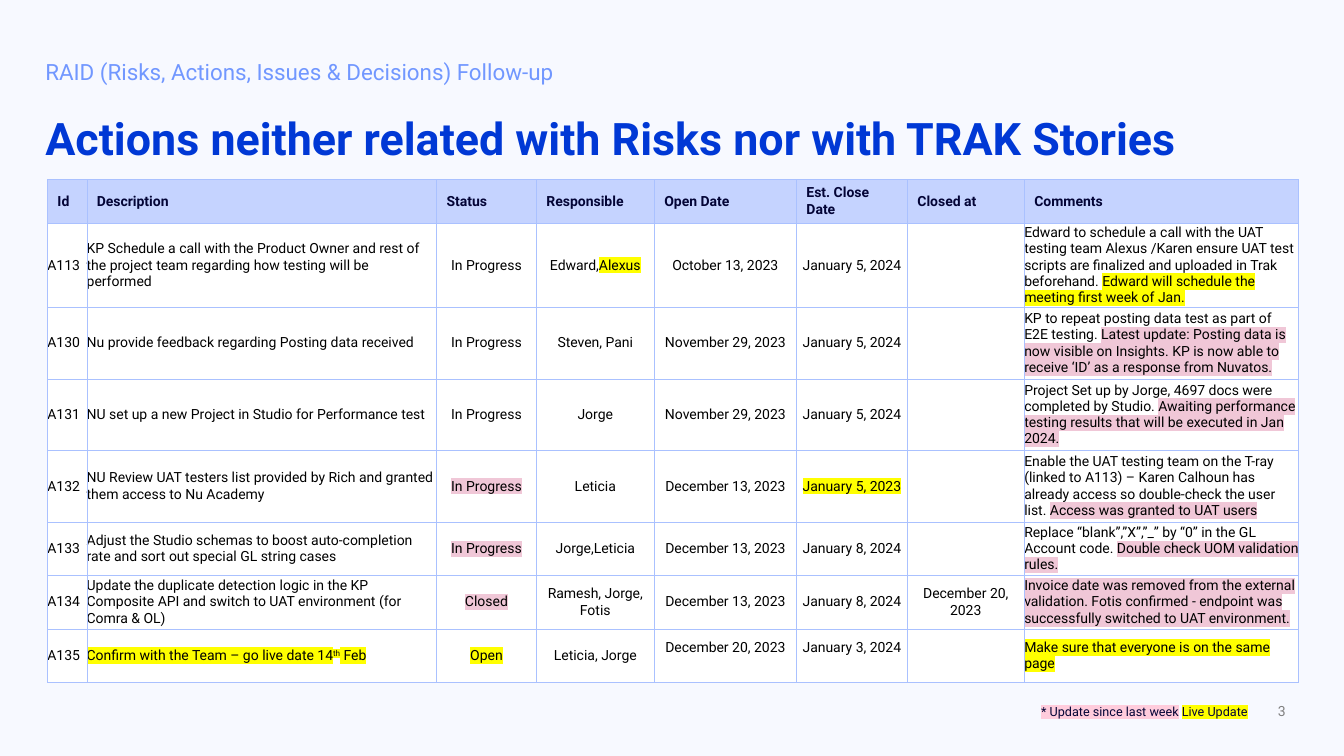
import pptx
import pptx.dml.color
import pptx.enum.text
import pptx.oxml.ns
import pptx.util
from lxml import etree
from pptx.util import Inches

COLORS = {
    "background": "F7F9FF", "title": "0038D5", "subtitle": "7197FF",
    "navy": "030436", "black": "000000", "gray": "808080", "white": "FFFFFF",
    "header": "C5D3FF", "border": "AAC1FF",
    "live": "FFFF00", "updated": "F0C7D7", "legend": "FFCCDC",
}
ALIGN = pptx.enum.text.PP_ALIGN
MIDDLE = pptx.enum.text.MSO_ANCHOR.MIDDLE
qn = pptx.oxml.ns.qn


def rgb(name):
    return pptx.dml.color.RGBColor.from_string(COLORS[name])


def add_runs(paragraph, runs, size, color, bold=False):
    """Add plain strings or (text, highlight) pairs as formatted runs."""
    for item in runs:
        text, mark = (item, None) if isinstance(item, str) else item
        run = paragraph.add_run()
        run.text = text
        run.font.size = pptx.util.Pt(size)
        run.font.bold = bold
        run.font.name = "Roboto"
        run.font.color.rgb = rgb(color)
        if mark:
            latin = run.font._element.find(qn("a:latin"))
            highlight = etree.Element(qn("a:highlight"))
            etree.SubElement(highlight, qn("a:srgbClr"), val=COLORS[mark])
            latin.addprevious(highlight)


presentation = pptx.Presentation()
presentation.slide_width = Inches(13.33)
presentation.slide_height = Inches(7.5)
slide = presentation.slides.add_slide(presentation.slide_layouts[6])
slide.background.fill.solid()
slide.background.fill.fore_color.rgb = rgb("background")

# Headings, legend and page number: box, left inset, anchor, alignment, runs, size, color, bold
TOP = pptx.enum.text.MSO_ANCHOR.TOP
legend = [("* Update since last week", "legend"), " ", ("Live Update", "live")]
text_boxes = [
    ((0.45, 0.47, 12.4, 0.43), 0, TOP, ALIGN.LEFT,
     ["RAID (Risks, Actions, Issues & Decisions) Follow-up"], 16, "subtitle", False),
    ((0.45, 1.05, 12.4, 0.64), 0, TOP, ALIGN.LEFT,
     ["Actions neither related with Risks nor with TRAK Stories"], 32, "title", True),
    ((10.02, 6.78, 2.66, 0.55), 0.1, MIDDLE, ALIGN.CENTER, legend, 9, "navy", False),
    ((9.85, 6.92, 3, 0.27), 0.1, MIDDLE, ALIGN.RIGHT, ["3"], 10, "gray", False),
]
for box, inset, anchor, alignment, runs, size, color, bold in text_boxes:
    shape = slide.shapes.add_textbox(*[Inches(length) for length in box])
    frame = shape.text_frame
    frame.word_wrap = True
    frame.margin_left = Inches(inset)
    frame.vertical_anchor = anchor
    paragraph = frame.paragraphs[0]
    paragraph.alignment = alignment
    if color == "subtitle":
        paragraph.line_spacing = 1.2
    add_runs(paragraph, runs, size, color, bold)

# Table content: a cell is a string or a list of runs
headers = ["Id", "Description", "Status", "Responsible", "Open Date",
           "Est. Close Date", "Closed at", "Comments"]
actions = [
    ["A113",
     "KP Schedule a call with the Product Owner and rest of the project team "
     "regarding how testing will be performed",
     "In Progress", ["Edward,", ("Alexus", "live")], "October 13, 2023", "January 5, 2024", "",
     ["Edward to schedule a call with the UAT testing team Alexus /Karen ensure UAT test "
      "scripts are finalized and uploaded in Trak beforehand. ",
      ("Edward will schedule the meeting first week of Jan.", "live")]],
    ["A130", "Nu provide feedback regarding Posting data received",
     "In Progress", "Steven, Pani", "November 29, 2023", "January 5, 2024", "",
     ["KP to repeat posting data test as part of E2E testing. ",
      ("Latest update: Posting data is now visible on Insights. KP is now able to "
       "receive ‘ID’ as a response from Nuvatos.", "updated")]],
    ["A131", "NU set up a new Project in Studio for Performance test",
     "In Progress", "Jorge", "November 29, 2023", "January 5, 2024", "",
     ["Project Set up by Jorge, 4697 docs were completed by Studio. ",
      ("Awaiting performance testing results that will be executed in Jan 2024.", "updated")]],
    ["A132",
     "NU Review UAT testers list provided by Rich and granted them access to Nu Academy",
     [("In Progress", "updated")], "Leticia", "December 13, 2023",
     [("January 5, 2023", "live")], "",
     ["Enable the UAT testing team on the T-ray (linked to A113) – Karen Calhoun has "
      "already access so double-check the user list. ",
      ("Access was granted to UAT users", "updated")]],
    ["A133",
     "Adjust the Studio schemas to boost auto-completion rate and sort out special "
     "GL string cases",
     [("In Progress", "updated")], "Jorge,Leticia", "December 13, 2023", "January 8, 2024", "",
     ["Replace “blank”,”X”,”_” by “0” in the GL Account code. ",
      ("Double check UOM validation rules.", "updated")]],
    ["A134",
     "Update the duplicate detection logic in the KP Composite API and switch to UAT "
     "environment (for Comra & OL)",
     [("Closed", "updated")], "Ramesh, Jorge,\nFotis", "December 13, 2023", "January 8, 2024",
     "December 20, 2023",
     [("Invoice date was removed from the external validation. Fotis confirmed - endpoint "
       "was successfully switched to UAT environment.", "updated")]],
    ["A135",
     [("Confirm with the Team – go live date 14", "live"), ("th", "live"), (" Feb", "live")],
     [("Open", "live")], "Leticia, Jorge", "December 20, 2023", "January 3, 2024", "",
     [("Make sure that everyone is on the same page", "live")]],
]
column_widths = [0.39, 3.47, 0.99, 1.17, 1.41, 1.1, 1.16, 2.72]
row_heights = [0.42, 0.82, 0.71, 0.71, 0.71, 0.53, 0.53, 0.53]

# Actions table
table = slide.shapes.add_table(
    len(row_heights), len(column_widths), Inches(0.47), Inches(1.78),
    Inches(sum(column_widths)), Inches(sum(row_heights))).table
for column, width in zip(table.columns, column_widths):
    column.width = Inches(width)
for row, height in zip(table.rows, row_heights):
    row.height = Inches(height)

for row_index, contents in enumerate([headers] + actions):
    is_header = row_index == 0
    for column_index, content in enumerate(contents):
        cell = table.cell(row_index, column_index)
        cell.vertical_anchor = MIDDLE
        if not is_header:
            cell.margin_left = cell.margin_right = 0
            cell.margin_top = cell.margin_bottom = 0

        # Borders go before the fill
        properties = cell._tc.get_or_add_tcPr()
        for side in ("a:lnL", "a:lnR", "a:lnT", "a:lnB"):
            line = etree.SubElement(properties, qn(side), w=str(pptx.util.Pt(0.25)))
            fill = etree.SubElement(line, qn("a:solidFill"))
            etree.SubElement(fill, qn("a:srgbClr"), val=COLORS["border"])
        cell.fill.solid()
        cell.fill.fore_color.rgb = rgb("header" if is_header else "white")

        paragraphs = [[text] for text in content.split("\n")] if isinstance(content, str) else [content]
        for index, runs in enumerate(paragraphs):
            frame = cell.text_frame
            paragraph = frame.add_paragraph() if index else frame.paragraphs[0]
            if not is_header and 2 <= column_index <= 6:
                paragraph.alignment = ALIGN.CENTER
            if runs != [""]:
                add_runs(paragraph, runs, 10, "navy" if is_header else "black", is_header)

# Last row: raised dates and the ordinal suffix
last_row = len(actions)
for column_index in (4, 5):
    table.cell(last_row, column_index).margin_bottom = Inches(0.16)
ordinal = table.cell(last_row, 1).text_frame.paragraphs[0].runs[1]
ordinal.font._element.set("baseline", "30000")

presentation.save("out.pptx")
